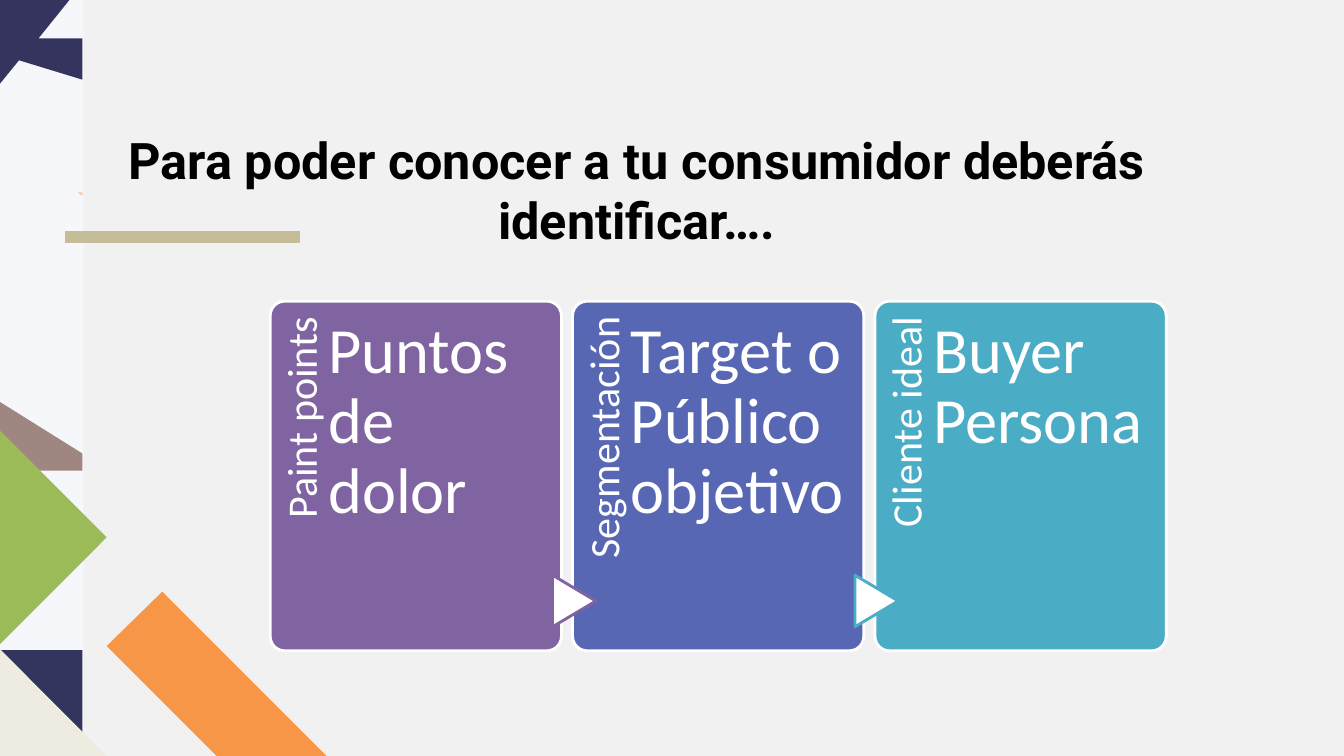
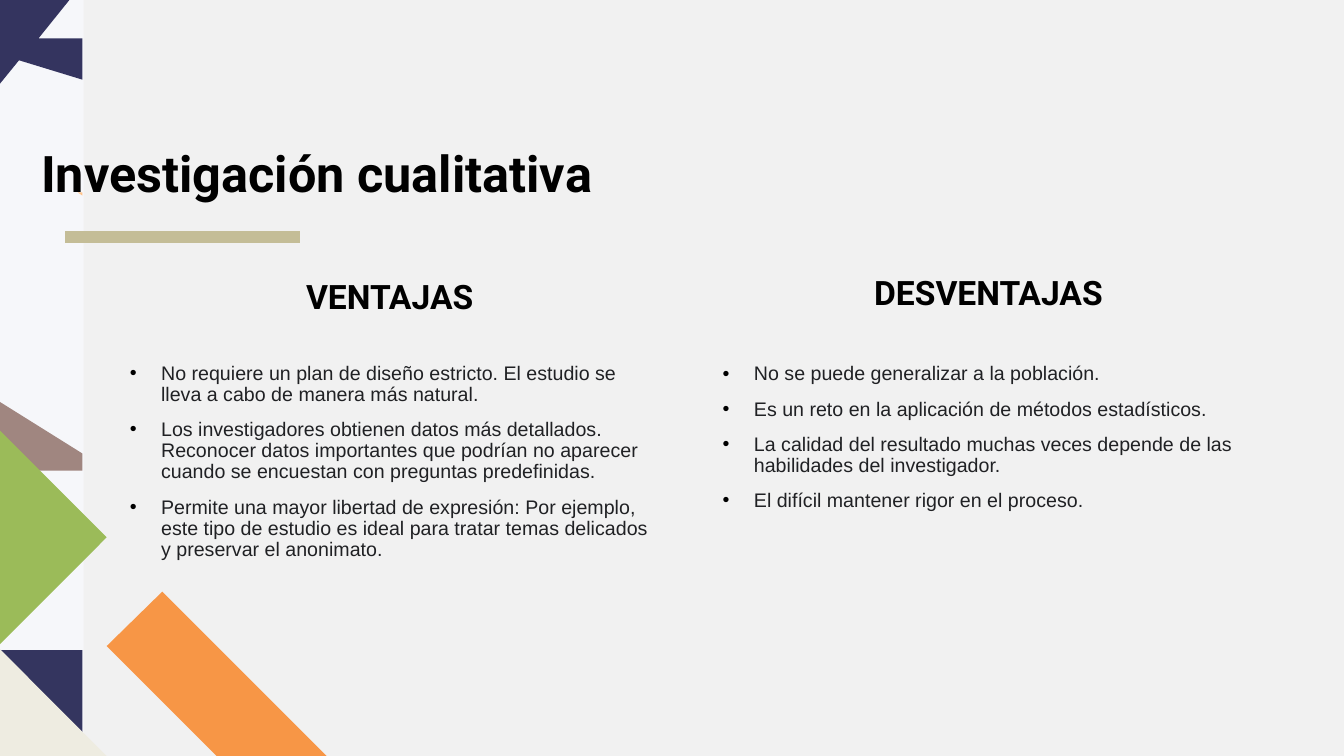
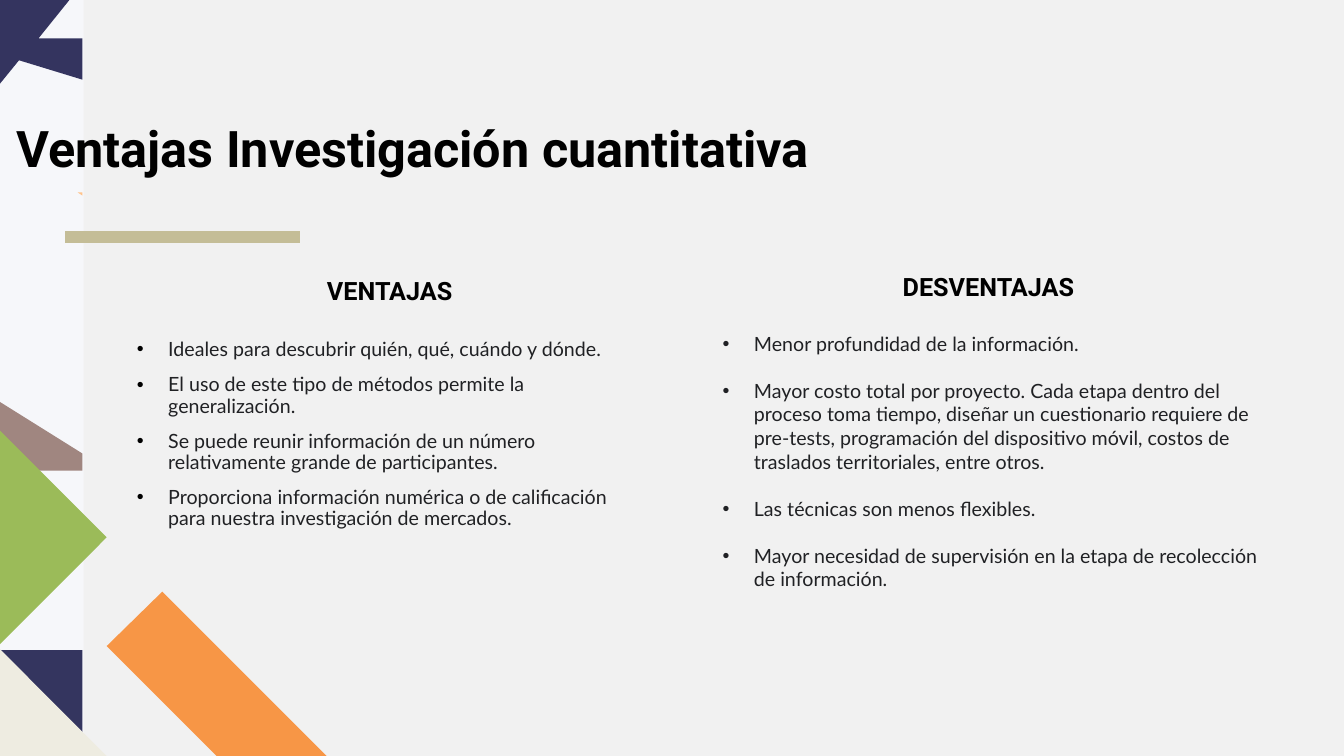
from dataclasses import dataclass

from lxml.etree import SubElement
from pptx import Presentation
from pptx.dml.color import RGBColor
from pptx.enum.shapes import MSO_CONNECTOR as Connector, MSO_SHAPE as Shape
from pptx.enum.text import MSO_ANCHOR as Anchor, MSO_AUTO_SIZE as AutoSize, PP_ALIGN as Align
from pptx.oxml.ns import qn
from pptx.util import Cm, Pt


@dataclass(frozen=True)
class Theme:
    paper: str = "F1F1F1"
    band: str = "F6F7FA"
    navy: str = "34345F"
    deep_navy: str = "34355F"
    brown: str = "A08680"
    peach: str = "FFC38B"
    sand: str = "C4BD97"
    orange: str = "F79646"
    cream: str = "EEECE1"
    green: str = "9BBB59"
    purple: str = "8064A2"
    blue: str = "5767B4"
    teal: str = "4BACC6"
    white: str = "FFFFFF"
    black: str = "000000"
    ink: str = "202124"
    heading_font: str = "Roboto"
    card_font: str = "Calibri"
    title_size: int = 36
    card_size: int = 46
    label_size: int = 30
    list_size: int = 14


THEME = Theme()


@dataclass(frozen=True)
class Box:
    left: float
    top: float
    width: float
    height: float

    def inner(self, left, top, width, height):
        return Box(self.left + left, self.top + top, width, height)

    def lengths(self):
        return [Cm(round(side, 2)) for side in (self.left, self.top, self.width, self.height)]


def rgb(colour):
    return RGBColor.from_string(colour)


def place(shape, box):
    shape.left, shape.top, shape.width, shape.height = box.lengths()


def paint(shape, fill, line=None):
    shape.shadow.inherit = False
    shape.fill.solid()
    shape.fill.fore_color.rgb = rgb(fill)
    if line:
        shape.line.color.rgb = rgb(line)
        shape.line.width = Pt(2)
    else:
        shape.line.fill.background()
    return shape


def add_bullet(para, colour):
    props = para._p.get_or_add_pPr()
    props.set("marL", str(Cm(0.79)))
    props.set("indent", str(-Cm(0.79)))
    if colour:
        SubElement(SubElement(props, qn("a:buClr")), qn("a:srgbClr")).set("val", colour)
    SubElement(props, qn("a:buFont")).set("typeface", "Arial")
    SubElement(props, qn("a:buChar")).set("char", "•")


def write(shape, *texts, font, size, colour, bold=False, align=Align.LEFT, spacing=1.0,
          gap=0, bullets=False, bullet_colour=None, insets=(0.25, 0.13, 0.25, 0.13)):
    frame = shape.text_frame
    frame.word_wrap = True
    frame.auto_size = AutoSize.NONE
    frame.vertical_anchor = Anchor.TOP
    frame.margin_left, frame.margin_top, frame.margin_right, frame.margin_bottom = map(Cm, insets)
    for number, text in enumerate(texts):
        para = frame.add_paragraph() if number else frame.paragraphs[0]
        para.alignment = align
        para.line_spacing = spacing
        para.space_before = Pt(gap if number else 0)
        if bullets:
            add_bullet(para, bullet_colour)
        span = para.add_run()
        span.text = text
        span.font.name = font
        span.font.size = Pt(size)
        span.font.bold = bold
        span.font.color.rgb = rgb(colour)


def add_rectangle(page, box, colour):
    return paint(page.shapes.add_shape(Shape.RECTANGLE, *box.lengths()), colour)


def add_polygon(page, colour, *points):
    start, *others = [(Cm(x), Cm(y)) for x, y in points]
    builder = page.shapes.build_freeform(*start, scale=1.0)
    builder.add_line_segments(others, close=True)
    return paint(builder.convert_to_shape(), colour)


def add_rule(page, left, right, y):
    rule = page.shapes.add_connector(Connector.STRAIGHT, Cm(left), Cm(y), Cm(right), Cm(y))
    rule.line.color.rgb = rgb(THEME.sand)
    rule.line.width = Pt(8)
    SubElement(rule.element.spPr, qn("a:effectLst"))
    return rule


def decorate_master(deck, page):
    master = deck.slide_master
    master.background.fill.solid()
    master.background.fill.fore_color.rgb = rgb(THEME.paper)
    parts = [
        add_rectangle(page, Box(0, 0, 2.11, 19.05), THEME.band),
        add_rectangle(page, Box(0, 16.38, 2.08, 2.67), THEME.deep_navy),
        add_polygon(page, THEME.brown, (0, 10.13), (0, 11.86), (2.08, 11.86), (2.08, 11.43)),
        add_polygon(page, THEME.peach, (1.96, 4.85), (2.08, 4.93), (2.08, 4.85)),
        add_polygon(page, THEME.navy, (0, 0), (1.75, 0), (0.97, 0.97), (2.08, 0.97),
                    (2.08, 2.01), (0.48, 1.52), (0, 2.11)),
        add_rule(page, 1.65, 7.57, 5.97),
        add_polygon(page, THEME.orange, (8.23, 19.05), (5.46, 19.05), (2.69, 16.28), (4.09, 14.91)),
        add_polygon(page, THEME.cream, (0, 16.36), (2.69, 19.05), (0, 19.05)),
        add_polygon(page, THEME.green, (0, 10.85), (2.69, 13.54), (0, 16.23)),
    ]
    for number, part in enumerate(parts, start=101):
        part.element.xpath(".//p:cNvPr")[0].set("id", str(number))
        master.shapes.element.append(part.element)


def add_title(page, box, text, align=Align.CENTER):
    place(page.shapes.title, box)
    write(page.shapes.title, text, font=THEME.heading_font, size=THEME.title_size,
          colour=THEME.black, bold=True, align=align)


def add_card(page, box, label, text, colour, arrow_colour=None):
    card = paint(page.shapes.add_shape(Shape.ROUNDED_RECTANGLE, *box.lengths()), colour, THEME.white)
    card.adjustments[0] = 0.05
    side = page.shapes.add_textbox(*box.inner(-2.9, 2.9, 7.24, 1.47).lengths())
    side.rotation = 270
    write(side, label, font=THEME.card_font, size=THEME.label_size, colour=THEME.white,
          align=Align.RIGHT, spacing=0.9, insets=(0, 0.28, 0.38, 0))
    if arrow_colour:
        arrow = page.shapes.add_shape(Shape.FLOWCHART_EXTRACT,
                                      *box.inner(-0.61, 7.01, 1.3, 1.09).lengths())
        arrow.rotation = 90
        paint(arrow, THEME.white, arrow_colour)
    body = page.shapes.add_textbox(*box.inner(1.47, 0, 5.49, box.height).lengths())
    write(body, text, font=THEME.card_font, size=THEME.card_size, colour=THEME.white,
          spacing=0.9, insets=(0, 0.43, 0, 0))


def build_cards(page, box, cards):
    pitch = 7.62
    for number, card in enumerate(cards):
        add_card(page, box.inner(number * pitch, 0, 7.34, box.height), *card)


def fill_column(head, body, box, heading, items, head_indent, drop, head_size, **list_format):
    place(head, box.inner(head_indent, 0, 8.1, 1.37))
    write(head, heading, font=THEME.heading_font, size=head_size, colour=THEME.black,
          bold=True, align=Align.CENTER)
    place(body, box.inner(0, drop, box.width, box.height - drop))
    write(body, *items, size=THEME.list_size, colour=THEME.ink, bullets=True, **list_format)


def build_comparison(page, left, right):
    slots = page.placeholders
    fill_column(slots[1], slots[2], **left)
    fill_column(slots[3], slots[4], **right)


def main():
    deck = Presentation()
    deck.slide_width, deck.slide_height = Cm(33.87), Cm(19.05)
    title_only, comparison = deck.slide_layouts[5], deck.slide_layouts[4]

    page = deck.slides.add_slide(title_only)
    decorate_master(deck, page)
    add_title(page, Box(0.51, 3.12, 31.09, 1.37),
              "Para poder conocer a tu consumidor deberás identificar….")
    build_cards(page, Box(6.81, 7.59, 22.58, 8.81), [
        ("Paint points", "Puntos de dolor", THEME.purple),
        ("Segmentación", "Target o Público objetivo", THEME.blue, THEME.purple),
        ("Cliente ideal", "Buyer Persona", THEME.teal, THEME.teal),
    ])

    tight = dict(spacing=0.9, gap=10, bullet_colour=THEME.black)

    page = deck.slides.add_slide(comparison)
    add_title(page, Box(0.79, 3.45, 22.43, 1.37), "Investigación cualitativa", Align.LEFT)
    build_comparison(
        page,
        dict(box=Box(3.02, 6.83, 13.59, 7.47), heading="VENTAJAS", head_indent=2.75, drop=2.19,
             head_size=24, font="Arial", **tight, items=[
                 "No requiere un plan de diseño estricto. El estudio se lleva a cabo de manera "
                 "más natural.",
                 "Los investigadores obtienen datos más detallados. Reconocer datos importantes "
                 "que podrían no aparecer cuando se encuestan con preguntas predefinidas.",
                 "Permite una mayor libertad de expresión: Por ejemplo, este tipo de estudio es "
                 "ideal para tratar temas delicados y preservar el anonimato.",
             ]),
        dict(box=Box(17.96, 6.73, 14.71, 7.36), heading="DESVENTAJAS", head_indent=2.9, drop=2.31,
             head_size=24, font="Arial", **tight, items=[
                 "No se puede generalizar a la población.",
                 "Es un reto en la aplicación de métodos estadísticos.",
                 "La calidad del resultado muchas veces depende de las habilidades del "
                 "investigador.",
                 "El difícil mantener rigor en el proceso.",
             ]))

    page = deck.slides.add_slide(comparison)
    add_title(page, Box(-0.81, 2.82, 22.43, 1.37), "Ventajas Investigación cuantitativa")
    build_comparison(
        page,
        dict(box=Box(3.2, 6.81, 12.73, 6.73), heading="VENTAJAS", head_indent=2.57, drop=1.62,
             head_size=18, font="Lato", **tight, items=[
                 "Ideales para descubrir quién, qué, cuándo y dónde.",
                 "El uso de este tipo de métodos permite la generalización.",
                 "Se puede reunir información de un número relativamente grande de participantes.",
                 "Proporciona información numérica o de calificación para nuestra investigación "
                 "de mercados.",
             ]),
        dict(box=Box(17.96, 6.71, 14.1, 8.96), heading="DESVENTAJAS", head_indent=2.9, drop=1.52,
             head_size=18, font="Lato", gap=16.8, items=[
                 "Menor profundidad de la información.",
                 "Mayor costo total por proyecto. Cada etapa dentro del proceso toma tiempo, "
                 "diseñar un cuestionario requiere de pre-tests, programación del dispositivo "
                 "móvil, costos de traslados territoriales, entre otros.",
                 "Las técnicas son menos flexibles.",
                 "Mayor necesidad de supervisión en la etapa de recolección de información.",
             ]))

    deck.save("out.pptx")


if __name__ == "__main__":
    main()
